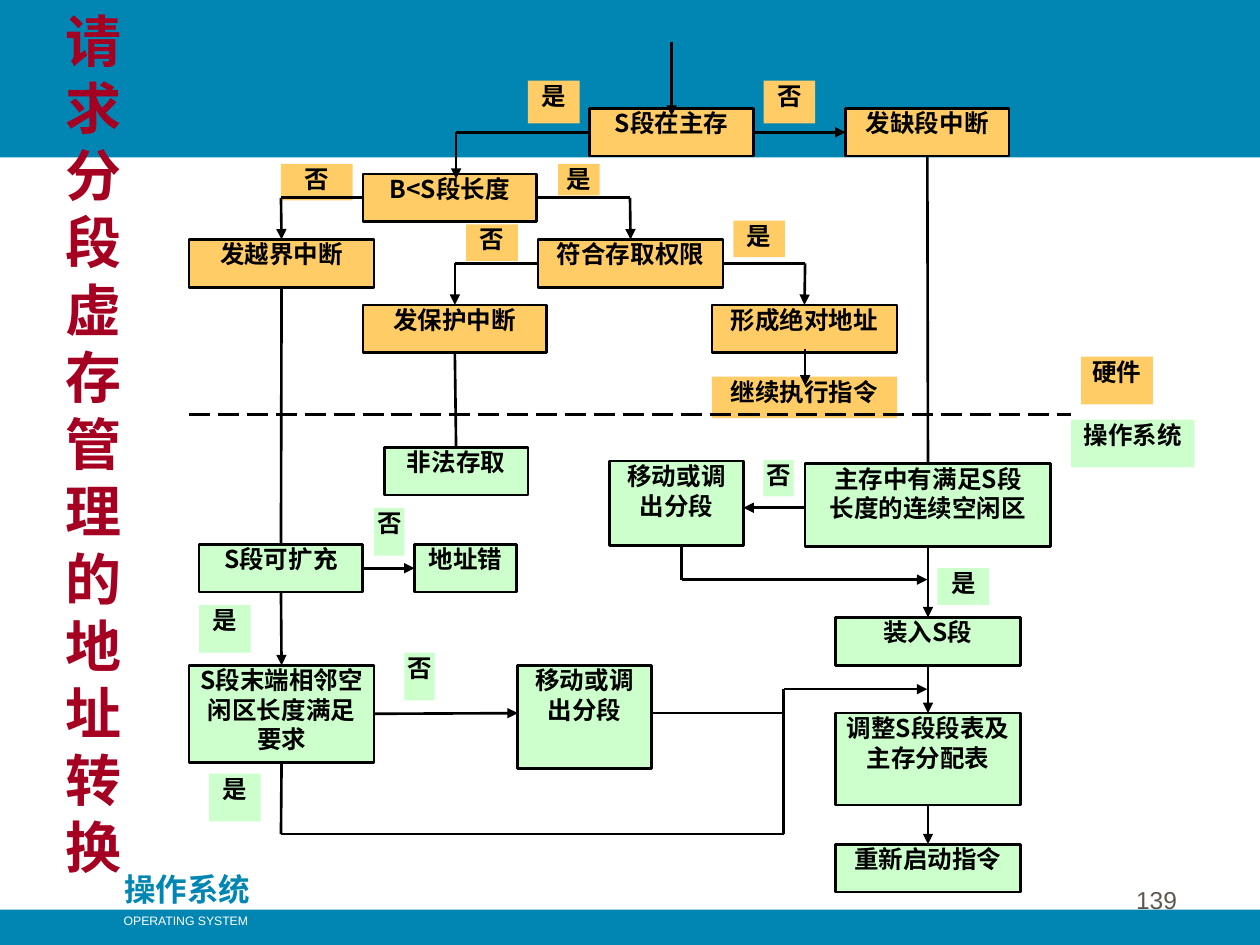
from lxml import etree
from pptx import Presentation, util as u
from pptx.dml.color import RGBColor
from pptx.enum import dml, shapes, text as t
from pptx.oxml.ns import qn

BLUE, BLACK, ORANGE, GREEN = "0186B3", "000000", "FFCC66", "CCFFCC"
SANS, LATIN = "Noto Sans CJK SC", "Arial"
TOP, LEFT, BOTTOM, RIGHT = range(4)
DIVIDER = 32.9  # hardware above this row, operating system below

deck = Presentation()
deck.slide_width, deck.slide_height = u.Inches(10), u.Inches(7.5)
CELL = deck.slide_width // 100  # grid of 100 columns by 75 rows
page = deck.slides.add_slide(deck.slide_layouts[5])


def paint(fill, colour):
    fill.solid()
    fill.fore_color.rgb = RGBColor.from_string(colour)


def write(box, words, size=14, font=SANS, colour=BLACK, bold=True, align="CENTER",
          anchor="TOP", inset=(0, 0), wrap=True, grow=False):
    frame = box.text_frame
    frame.word_wrap = wrap
    frame.auto_size = t.MSO_AUTO_SIZE.SHAPE_TO_FIT_TEXT if grow else t.MSO_AUTO_SIZE.NONE
    frame.vertical_anchor = t.MSO_ANCHOR[anchor]
    frame.margin_left = frame.margin_right = u.Inches(inset[0])
    frame.margin_top = frame.margin_bottom = u.Inches(inset[1])
    frame.text = words
    for para in frame.paragraphs:
        para.alignment = t.PP_ALIGN[align]
        for span in para.runs:
            span.font.size, span.font.name, span.font.bold = u.Pt(size), font, bold
            paint(span.font.fill, colour)
            latin = span.font._element.find(qn("a:latin"))
            latin.addnext(latin.makeelement(qn("a:ea"), {"typeface": font}))


# Bands across the top and bottom
for top, height in ((0, 12.5), (72.2, 2.8)):
    band = page.shapes.add_shape(shapes.MSO_SHAPE.RECTANGLE, 0, int(top * CELL),
                                 deck.slide_width, int(height * CELL))
    band.shadow.inherit = False
    paint(band.fill, BLUE)
    band.line.fill.background()

# Footer texts and page number
footers = [
    ("操作系统", (8.3, 68.6, 13.1, 4), dict(size=18, colour=BLUE, grow=True)),
    ("OPERATING SYSTEM", (8.8, 72, 11.9, 2.2),
     dict(size=7, font=LATIN, colour="FFFFFF", bold=False, wrap=False, grow=True)),
    ("139", (73.6, 68.1, 20.8, 5),
     dict(size=14, font=LATIN, colour="5E574E", bold=False, align="RIGHT", anchor="BOTTOM")),
]
for words, place, style in footers:
    box = page.shapes.add_textbox(*(int(n * CELL) for n in place))
    write(box, words, inset=(0.1, 0.05), **style)

# Flowchart steps: name, text, left, top, width, height
steps = [
    ("in memory", "S段在主存", 46.8, 8.6, 13, 3.8),
    ("segment fault", "发缺段中断", 67.1, 8.6, 13, 3.8),
    ("length", "B<S段长度", 28.8, 13.8, 13.8, 3.8),
    ("bounds fault", "发越界中断", 15, 19, 14.7, 3.8),
    ("access", "符合存取权限", 42.7, 19, 14.7, 3.8),
    ("protection fault", "发保护中断", 28.8, 24.2, 14.6, 3.8),
    ("address", "形成绝对地址", 56.5, 24.2, 14.7, 3.8),
    ("illegal", "非法存取", 30.5, 35.5, 11.4, 3.8),
    ("move out", "移动或调\n出分段", 48.4, 36.6, 10.6, 6.7),
    ("free space", "主存中有满足S段\n长度的连续空闲区", 63.9, 36.8, 19.5, 6.6),
    ("extensible", "S段可扩充", 15.8, 43.2, 13, 3.8),
    ("address error", "地址错", 32.9, 43.2, 8.1, 3.8),
    ("load", "装入S段", 66.3, 49, 14.7, 3.8),
    ("adjacent", "S段末端相邻空\n闲区长度满足\n要求", 15, 52.8, 14.7, 7.7),
    ("move adjacent", "移动或调\n出分段", 41.1, 52.8, 10.6, 8.2),
    ("tables", "调整S段段表及主存分配表", 66.3, 56.6, 14.7, 7.3),
    ("restart", "重新启动指令", 66.3, 67, 14.7, 3.8),
]
# Labels have no outline and need no name
labels = [
    ("是", 41.9, 6.4, 4.1, 3.4), ("否", 60.6, 6.4, 4.1, 3.4),
    ("否", 22.3, 13, 5.7, 2.9), ("是", 44.3, 13, 3.3, 2.5),
    ("否", 37, 17.8, 4.1, 2.9), ("是", 58.2, 17.5, 4.1, 2.9),
    ("继续执行指令", 56.5, 29.9, 14.7, 3.3),
    ("硬件", 85.8, 28.3, 5.7, 3.8), ("操作系统", 85, 33.3, 9.8, 3.8),
    ("否", 60.6, 36.5, 2.4, 2.9), ("否", 29.7, 40.3, 2.4, 3.8),
    ("是", 74.4, 45.1, 4.1, 2.9), ("是", 15.8, 48, 4.1, 3.8),
    ("否", 32.1, 51.8, 2.4, 3.8), ("是", 16.6, 61.4, 4.1, 3.8),
]
boxes = {}
for name, words, *place in steps + [(None, *label) for label in labels]:
    box = page.shapes.add_shape(shapes.MSO_SHAPE.RECTANGLE, *(int(n * CELL) for n in place))
    box.shadow.inherit = False
    paint(box.fill, ORANGE if place[1] < DIVIDER else GREEN)
    if name:
        paint(box.line.fill, BLACK)
        box.line.width = u.Pt(1.5)
        boxes[name] = box
    else:
        box.line.fill.background()
    write(box, words)

# Flow lines: each end is a grid point or a (step, side) pair; True adds an arrowhead
flows = [
    ((53.3, 3.3), (53.3, 9.2), True),
    (("in memory", RIGHT), ("segment fault", LEFT), True),
    (("in memory", LEFT), (36.2, 10.5), False),
    ((36.2, 10.5), (36.2, 14.2), True),
    (("length", LEFT), (22.3, 15.7), False),
    ((22.3, 15.7), ("bounds fault", TOP), True),
    (("length", RIGHT), (50, 15.7), False),
    ((50, 15.7), ("access", TOP), True),
    (("access", LEFT), (36.1, 20.9), False),
    ((36.1, 20.9), ("protection fault", TOP), True),
    (("access", RIGHT), (63.9, 20.9), False),
    ((63.9, 20.9), ("address", TOP), True),
    ((63.9, 27.7), (63.9, 30.6), True),
    (("bounds fault", BOTTOM), ("extensible", TOP), False),
    (("protection fault", BOTTOM), ("illegal", TOP), False),
    (("segment fault", BOTTOM), ("free space", TOP), False),
    ((63.9, 40.3), (59, 40.3), True),
    ((54.1, 43.3), (54.1, 46), False),
    ((54.1, 46), (73.6, 46), True),
    (("free space", BOTTOM), ("load", TOP), True),
    (("load", BOTTOM), ("tables", TOP), True),
    (("tables", BOTTOM), ("restart", TOP), True),
    (("extensible", RIGHT), ("address error", LEFT), True),
    (("extensible", BOTTOM), ("adjacent", TOP), True),
    (("adjacent", RIGHT), (41.1, 56.6), True),
    ((51.7, 56.6), (62.2, 56.6), False),
    (("adjacent", BOTTOM), (22.3, 66.2), False),
    ((22.3, 66.2), (62.2, 66.2), False),
    ((62.2, 66.2), (62.2, 54.7), False),
    ((62.2, 54.7), (73.6, 54.7), True),
    ((15, DIVIDER), (85, DIVIDER), False),
]
for start, end, arrow in flows:
    points = [(0, 0) if p[0] in boxes else p for p in (start, end)]
    line = page.shapes.add_connector(shapes.MSO_CONNECTOR.STRAIGHT,
                                     *(int(n * CELL) for p in points for n in p))
    if start[0] in boxes:
        line.begin_connect(boxes[start[0]], start[1])
    if end[0] in boxes:
        line.end_connect(boxes[end[0]], end[1])
    paint(line.line.fill, BLACK)
    line.line.width = u.Pt(1.5)
    if arrow:
        etree.SubElement(line.line._get_or_add_ln(), qn("a:tailEnd"), type="triangle")
    etree.SubElement(line.element.spPr, qn("a:effectLst"))
line.line.dash_style = dml.MSO_LINE.LONG_DASH  # the divider comes last

# Vertical title, in front of the bands
title = page.shapes.title
title.left, title.top, title.width, title.height = (int(n * CELL) for n in (4.2, 0, 10, 70.4))
write(title, "请求分段虚存管理的地址转换", size=32, colour="A50021", align="LEFT",
      inset=(0.1, 0.05), grow=True)
page.shapes.element.append(title.element)

deck.save("out.pptx")
